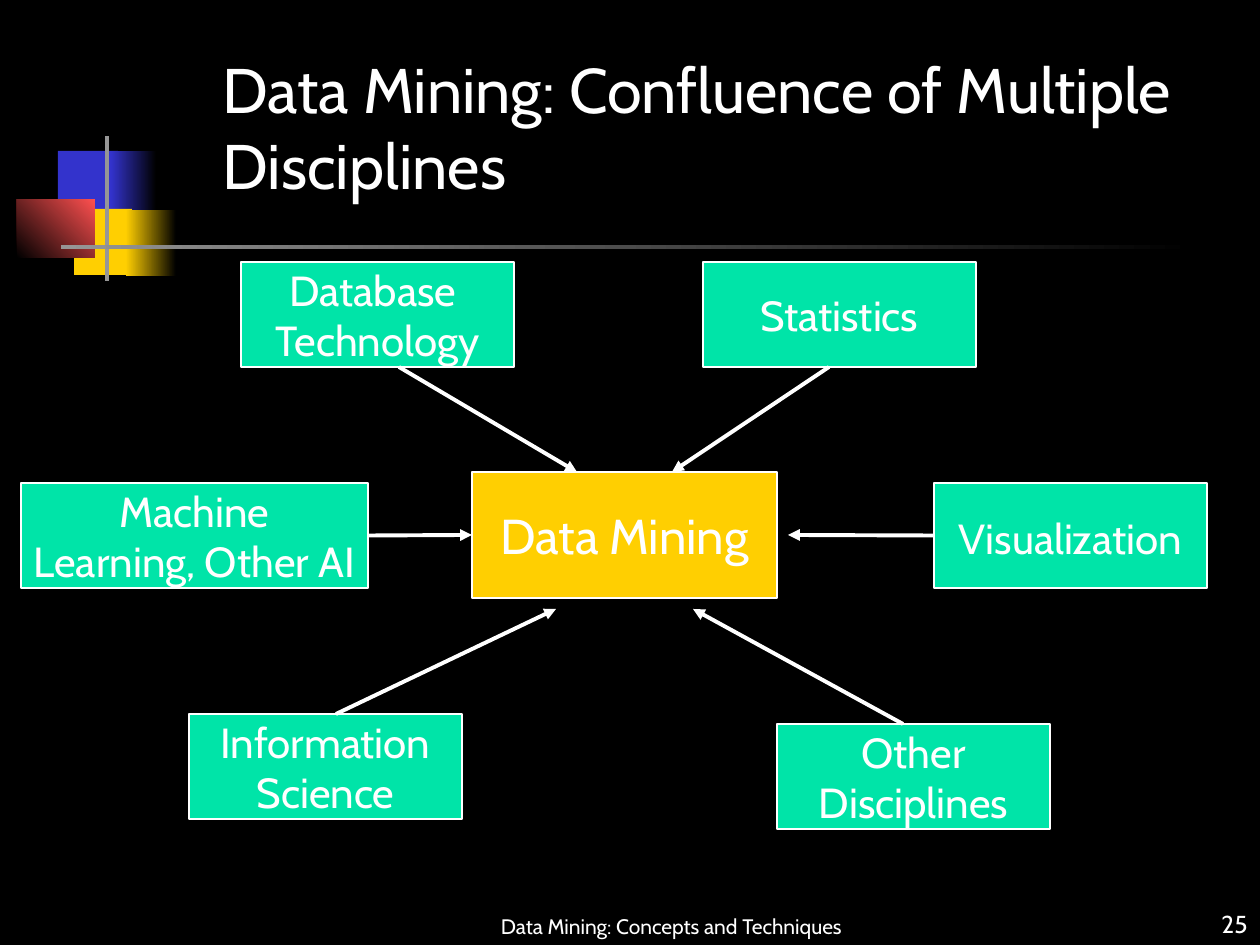
from lxml.etree import SubElement
from pptx import Presentation
from pptx.dml.color import RGBColor
from pptx.enum.shapes import MSO_CONNECTOR, MSO_SHAPE
from pptx.enum.text import MSO_ANCHOR, PP_ALIGN
from pptx.oxml.ns import qn
from pptx.util import Pt

EMU_PER_PX = 914400 / 126
FONT = "Cabin"
COLORS = {
    "black": "000000",
    "white": "FFFFFF",
    "blue": "3333CC",
    "yellow": "FFCF01",
    "red": "FF5050",
    "gray": "969696",
    "green": "00E4A8",
}
TOP, LEFT, BOTTOM, RIGHT = range(4)

# Box: left, top, width, height
ORNAMENT = [
    ((58, 151, 60, 66), ["blue"], 0),
    ((111, 151, 45, 66), ["blue", "black"], 0),
    ((74, 209, 58, 66), ["yellow"], 0),
    ((126, 210, 50, 66), ["yellow", "black"], 0),
    ((17, 199, 78, 59), ["black", "red"], 45),
    ((105, 136, 4, 145), ["gray"], 0),
    ((61, 245, 1134, 4), ["gray", "black"], 0),
]
DISCIPLINES = {
    "database": ("Database \nTechnology", (241, 262, 273, 105)),
    "statistics": ("Statistics", (703, 262, 273, 105)),
    "other": ("Other\nDisciplines", (777, 724, 273, 105)),
    "information": ("Information\nScience", (189, 714, 273, 105)),
    "learning": ("Machine\nLearning, Other AI", (21, 483, 347, 105)),
    "visualization": ("Visualization", (934, 483, 273, 105)),
}
FREE_ARROWS = [
    ((399, 367), (577, 472)),
    ((829, 367), (672, 472)),
    ((903, 724), (693, 609)),
    ((336, 714), (556, 609)),
]


def px(value):
    return round(value * EMU_PER_PX)


def rgb(name):
    return RGBColor.from_string(COLORS[name])


def format_text(text_frame, size, alignment, anchor):
    text_frame.vertical_anchor = anchor
    for paragraph in text_frame.paragraphs:
        paragraph.alignment = alignment
        for run in paragraph.runs:
            run.font.name = FONT
            run.font.size = Pt(size)
            run.font.color.rgb = rgb("white")


def add_rectangle(slide, box, colors, angle=0):
    """Add a borderless rectangle, with a gradient if two colours are given."""
    shape = slide.shapes.add_shape(MSO_SHAPE.RECTANGLE, *map(px, box))
    shape.shadow.inherit = False
    shape.line.fill.background()
    if len(colors) == 1:
        shape.fill.solid()
        shape.fill.fore_color.rgb = rgb(colors[0])
    else:
        shape.fill.gradient()
        shape.fill.gradient_angle = angle
        for stop, color in zip(shape.fill.gradient_stops, colors):
            stop.color.rgb = rgb(color)
    return shape


def add_box(slide, text, box, color, size):
    shape = add_rectangle(slide, box, [color])
    shape.line.color.rgb = rgb("white")
    shape.line.width = Pt(0.75)
    shape.text_frame.word_wrap = False
    shape.text_frame.text = text
    format_text(shape.text_frame, size, PP_ALIGN.CENTER, MSO_ANCHOR.MIDDLE)
    return shape


def add_arrow(slide, start, end):
    arrow = slide.shapes.add_connector(MSO_CONNECTOR.STRAIGHT, *map(px, start + end))
    arrow.line.color.rgb = rgb("white")
    arrow.line.width = Pt(2.25)
    SubElement(arrow.line._get_or_add_ln(), qn("a:tailEnd"), type="triangle")
    SubElement(arrow._element.spPr, qn("a:effectLst"))
    return arrow


def add_label(slide, text, box, size, alignment):
    text_frame = slide.shapes.add_textbox(*map(px, box)).text_frame
    text_frame.word_wrap = True
    text_frame.text = text
    format_text(text_frame, size, alignment, MSO_ANCHOR.BOTTOM)


def set_title(slide, text, box):
    title = slide.shapes.title
    title.left, title.top, title.width, title.height = map(px, box)
    title.text_frame.text = text
    format_text(title.text_frame, 36, PP_ALIGN.LEFT, MSO_ANCHOR.MIDDLE)


def main():
    presentation = Presentation()
    presentation.slide_width, presentation.slide_height = px(1260), px(945)
    slide = presentation.slides.add_slide(presentation.slide_layouts[5])
    slide.background.fill.solid()
    slide.background.fill.fore_color.rgb = rgb("black")

    for box, colors, angle in ORNAMENT:
        add_rectangle(slide, box, colors, angle)
    set_title(slide, "Data Mining: Confluence of Multiple Disciplines", (210, 42, 1029, 168))
    add_label(slide, "Data Mining: Concepts and Techniques", (472, 892, 399, 53), 12, PP_ALIGN.CENTER)
    add_label(slide, "25", (998, 882, 262, 63), 14, PP_ALIGN.RIGHT)

    mining = add_box(slide, "Data Mining", (472, 472, 305, 126), "yellow", 28)
    boxes = {
        name: add_box(slide, text, box, "green", 24)
        for name, (text, box) in DISCIPLINES.items()
    }
    visualization_paragraph = boxes["visualization"].text_frame.paragraphs[0]
    visualization_paragraph.line_spacing = 1.1
    visualization_paragraph.space_before = Pt(6)

    for start, end in FREE_ARROWS:
        add_arrow(slide, start, end)
    learning_arrow = add_arrow(slide, (368, 535), (472, 535))
    learning_arrow.begin_connect(boxes["learning"], RIGHT)
    learning_arrow.end_connect(mining, LEFT)
    visualization_arrow = add_arrow(slide, (934, 535), (788, 535))
    visualization_arrow.begin_connect(boxes["visualization"], LEFT)

    presentation.save("out.pptx")


if __name__ == "__main__":
    main()
